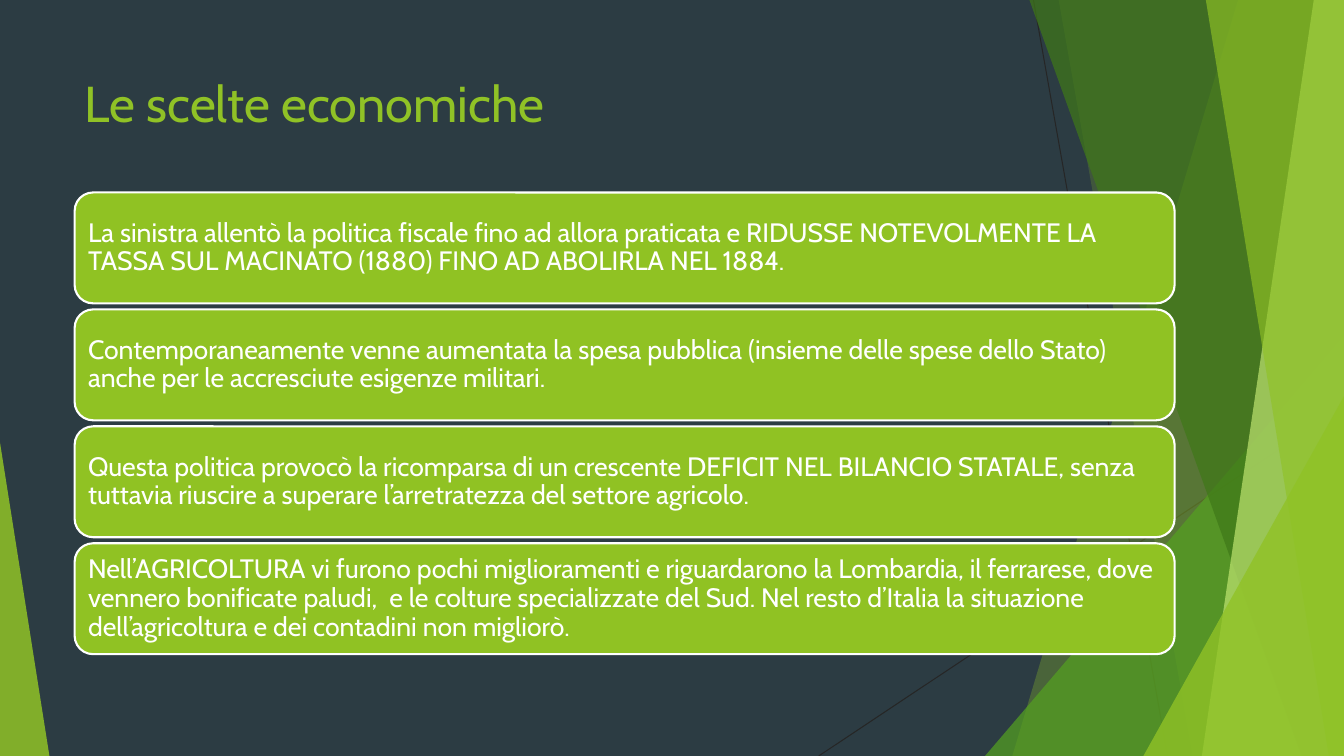
from dataclasses import dataclass

from lxml import etree
from pptx import Presentation
from pptx.dml.color import RGBColor
from pptx.enum.shapes import MSO_CONNECTOR, MSO_SHAPE
from pptx.enum.text import MSO_ANCHOR, PP_ALIGN
from pptx.oxml.ns import qn
from pptx.util import Inches, Pt

STRAIGHT = MSO_CONNECTOR.STRAIGHT
TRIANGLE = MSO_SHAPE.ISOSCELES_TRIANGLE
ROUNDED = MSO_SHAPE.ROUNDED_RECTANGLE
TOP, MIDDLE = MSO_ANCHOR.TOP, MSO_ANCHOR.MIDDLE
LEFT = PP_ALIGN.LEFT

WIDTH, HEIGHT = 13.33, 7.5
FONT = "Cabin"
COLORS = {
    "background": "2C3C43",
    "line": "262626",
    "lime": "90C226",
    "card": "90C223",
    "green": "54A021",
    "forest": "3F7818",
    "pale": "BFE471",
    "white": "FFFFFF",
}


@dataclass
class Ray:
    start: tuple[float, float]
    end: tuple[float, float]


@dataclass
class Band:
    """Facet reaching the right edge, with a slanted left side."""

    top_x: float
    bottom_x: float
    color: str
    opacity: int


@dataclass
class Corner:
    """Right triangle standing on the bottom edge."""

    left: float
    top: float
    width: float
    peak: float
    color: str
    opacity: int


RAYS = [Ray((10.25, 0), (11.58, HEIGHT)), Ray((WIDTH, 4.03), (8.12, HEIGHT))]
FACETS = [
    Band(12.28, 10.04, "lime", 30),
    Band(10.5, 11.83, "lime", 20),
    Corner(9.77, 3.33, 3.56, 1, "green", 72),
    Band(10.21, 12.91, "forest", 70),
    Band(13.03, 11.92, "pale", 70),
    Band(11.96, 13.18, "lime", 65),
    Corner(11.34, 3.93, 1.99, 1, "lime", 80),
    Corner(0, 4.39, 0.49, 0, "lime", 85),
]

CARD_LEFT, CARD_TOP, CARD_WIDTH, CARD_HEIGHT = 0.74, 1.91, 10.91, 1.1
CARD_STEP = 1.16
CARDS = [
    "La sinistra allentò la politica fiscale fino ad allora praticata e RIDUSSE "
    "NOTEVOLMENTE LA TASSA SUL MACINATO (1880) FINO AD ABOLIRLA NEL 1884.",
    "Contemporaneamente venne aumentata la spesa pubblica (insieme delle spese "
    "dello Stato) anche per le accresciute esigenze militari.",
    "Questa politica provocò la ricomparsa di un crescente DEFICIT NEL BILANCIO "
    "STATALE, senza tuttavia riuscire a superare l’arretratezza del settore agricolo.",
    "Nell’AGRICOLTURA vi furono pochi miglioramenti e riguardarono la Lombardia, "
    "il ferrarese, dove vennero bonificate paludi,  e le colture specializzate del "
    "Sud. Nel resto d’Italia la situazione dell’agricoltura e dei contadini non migliorò.",
]


def rgb(name: str) -> RGBColor:
    """Look up a named colour."""
    return RGBColor.from_string(COLORS[name])


def write(shape, text: str, *, size: float, color: str, anchor=TOP,
          inset_x: float = 0.1, inset_y: float = 0.05, spacing: float = 1.0) -> None:
    """Put one formatted paragraph into a shape."""
    frame = shape.text_frame
    frame.word_wrap = True
    frame.vertical_anchor = anchor
    frame.margin_left = frame.margin_right = Inches(inset_x)
    frame.margin_top = frame.margin_bottom = Inches(inset_y)
    para = frame.paragraphs[0]
    para.alignment = LEFT
    para.line_spacing = spacing
    span = para.add_run()
    span.text = text
    span.font.name = FONT
    span.font.size = Pt(size)
    span.font.color.rgb = rgb(color)


def draw_ray(page, ray: Ray) -> None:
    """Draw a thin background line."""
    points = [Inches(value) for value in (*ray.start, *ray.end)]
    line = page.shapes.add_connector(STRAIGHT, *points)
    line.line.color.rgb = rgb("line")
    line.line.width = Pt(0.75)
    etree.SubElement(line._element.spPr, qn("a:effectLst"))


def draw_facet(page, facet: Band | Corner) -> None:
    """Draw a translucent background facet."""
    if isinstance(facet, Band):
        builder = page.shapes.build_freeform(Inches(facet.top_x), 0)
        corners = [(WIDTH, 0), (WIDTH, HEIGHT), (facet.bottom_x, HEIGHT)]
        builder.add_line_segments([(Inches(x), Inches(y)) for x, y in corners])
        shape = builder.convert_to_shape()
    else:
        shape = page.shapes.add_shape(
            TRIANGLE, Inches(facet.left), Inches(facet.top),
            Inches(facet.width), Inches(HEIGHT - facet.top))
        shape.adjustments[0] = facet.peak
    shape.shadow.inherit = False
    shape.line.fill.background()
    shape.fill.solid()
    shape.fill.fore_color.rgb = rgb(facet.color)
    tint = shape._element.spPr.find(qn("a:solidFill"))[0]
    etree.SubElement(tint, qn("a:alpha"), val=str(facet.opacity * 1000))


def draw_card(page, index: int, text: str) -> None:
    """Draw one rounded text card of the stack."""
    box = page.shapes.add_shape(
        ROUNDED, Inches(CARD_LEFT), Inches(CARD_TOP + index * CARD_STEP),
        Inches(CARD_WIDTH), Inches(CARD_HEIGHT))
    box.shadow.inherit = False
    box.fill.solid()
    box.fill.fore_color.rgb = rgb("card")
    box.line.color.rgb = rgb("white")
    box.line.width = Pt(1.5)
    write(box, text, size=19, color="white", anchor=MIDDLE,
          inset_x=0.08, inset_y=0.08, spacing=0.9)


def main() -> None:
    """Build and save the slide."""
    deck = Presentation()
    deck.slide_width, deck.slide_height = Inches(WIDTH), Inches(HEIGHT)
    page = deck.slides.add_slide(deck.slide_layouts.get_by_name("Title Only"))
    page.background.fill.solid()
    page.background.fill.fore_color.rgb = rgb("background")
    for ray in RAYS:
        draw_ray(page, ray)
    for facet in FACETS:
        draw_facet(page, facet)
    title = page.shapes.title
    title.left, title.top = Inches(0.74), Inches(0.67)
    title.width, title.height = Inches(9.4), Inches(1.44)
    write(title, "Le scelte economiche", size=36, color="lime")
    for index, text in enumerate(CARDS):
        draw_card(page, index, text)
    deck.save("out.pptx")


if __name__ == "__main__":
    main()
